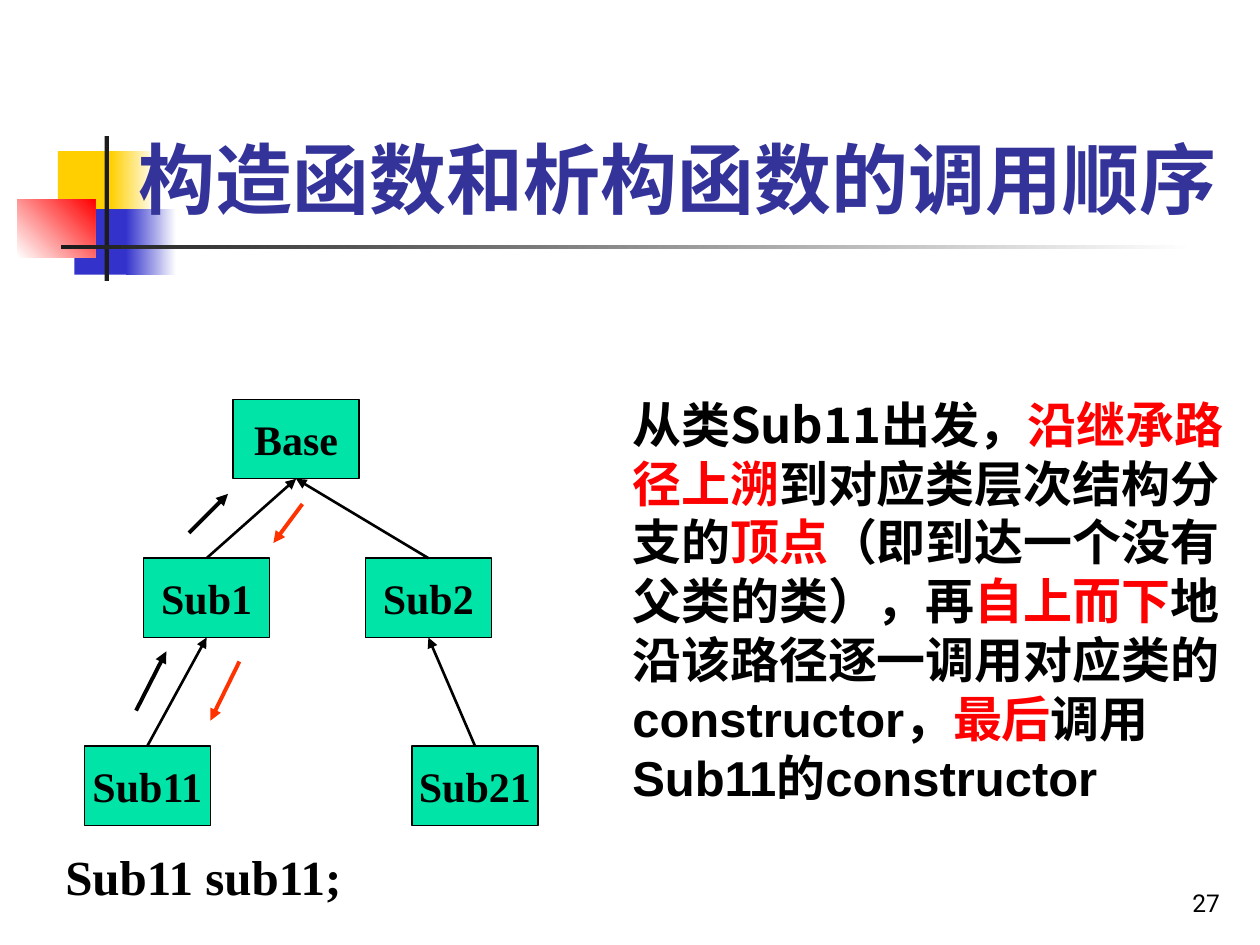
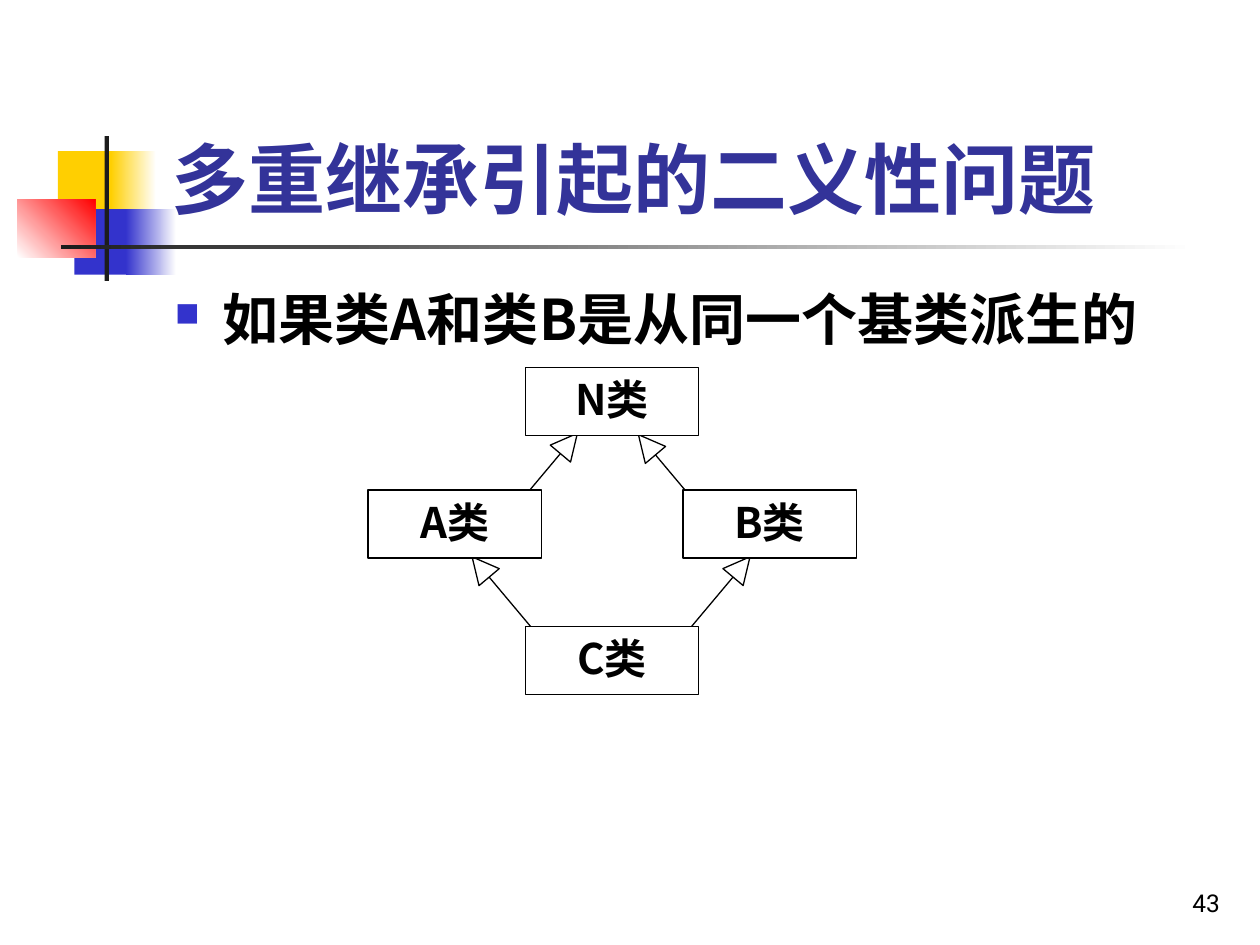
import math
from dataclasses import dataclass

import lxml.etree
import pptx
import pptx.dml.color
import pptx.enum.shapes
import pptx.enum.text
import pptx.oxml
import pptx.oxml.ns
import pptx.util

SHAPE = pptx.enum.shapes.MSO_SHAPE
ALIGN = pptx.enum.text.PP_ALIGN
ANCHOR = pptx.enum.text.MSO_ANCHOR


# Colours, fonts and type sizes
@dataclass(frozen=True)
class Theme:
    black: str = "000000"
    white: str = "FFFFFF"
    title: str = "333399"
    yellow: str = "FFCF01"
    blue: str = "3333CC"
    red: str = "FF0000"
    rule: str = "1C1C1C"
    node: str = "00E4A8"
    return_arrow: str = "FF3300"
    heading_font: str = "Roboto"
    chinese_font: str = "Noto Sans CJK SC"
    latin_font: str = "Arial"
    code_font: str = "Times New Roman"
    title_size: int = 44
    body_size: int = 32
    text_size: int = 28
    node_size: int = 24
    number_size: int = 14
    outline: float = 0.74
    edge: float = 1.5
    call: float = 2.24


THEME = Theme()

# The slide is a grid of 100 columns by 75 rows, each cell a square
COLUMNS, ROWS = 100, 75
CELL = pptx.util.Inches(0.1)


@dataclass(frozen=True)
class Box:
    left: float
    top: float
    width: float
    height: float

    def area(self, left, top, width, height):
        return Box(self.left + left, self.top + top, width, height)

    def point(self, column, row):
        return self.left + column, self.top + row

    def top_centre(self):
        return self.left + self.width / 2, self.top

    def bottom_centre(self):
        return self.left + self.width / 2, self.top + self.height

    def emu(self):
        return [round(value * CELL) for value in (self.left, self.top, self.width, self.height)]


def rgb(colour):
    return pptx.dml.color.RGBColor.from_string(colour)


def format_run(run, size, font, colour, bold=True):
    run.font.size = pptx.util.Pt(size)
    run.font.bold = bold
    run.font.name = font
    run.font.color.rgb = rgb(colour)
    east_asian = lxml.etree.SubElement(run.font._element, pptx.oxml.ns.qn("a:ea"))
    east_asian.set("typeface", THEME.chinese_font)


def add_text(slide, box, pieces, size, anchor=ANCHOR.TOP, align=ALIGN.LEFT, bold=True, wrap=True):
    """Pieces are (text, font, colour); returns the paragraph."""
    text_frame = slide.shapes.add_textbox(*box.emu()).text_frame
    text_frame.word_wrap = wrap
    text_frame.vertical_anchor = anchor
    paragraph = text_frame.paragraphs[0]
    paragraph.alignment = align
    for text, font, colour in pieces:
        run = paragraph.add_run()
        run.text = text
        format_run(run, size, font, colour, bold)
    return paragraph


def add_block(slide, box, fill, fade_to=None, angle=0, preset=SHAPE.RECTANGLE, outlined=False):
    shape = slide.shapes.add_shape(preset, *box.emu())
    shape.shadow.inherit = False
    if fade_to:
        shape.fill.gradient()
        shape.fill.gradient_angle = angle
        for stop, colour in zip(shape.fill.gradient_stops, (fill, fade_to)):
            stop.color.rgb = rgb(colour)
    else:
        shape.fill.solid()
        shape.fill.fore_color.rgb = rgb(fill)
    if outlined:
        shape.line.color.rgb = rgb(THEME.black)
        shape.line.width = pptx.util.Pt(THEME.outline)
    else:
        shape.line.fill.background()
    return shape


def add_node(slide, box, label, fill, font, anchor, wrap):
    shape = add_block(slide, box, fill, outlined=True)
    text_frame = shape.text_frame
    text_frame.text = label
    text_frame.word_wrap = wrap
    text_frame.vertical_anchor = anchor
    paragraph = text_frame.paragraphs[0]
    paragraph.alignment = ALIGN.CENTER
    format_run(paragraph.runs[0], THEME.node_size, font, THEME.black)


def add_line(slide, start, end, colour, width, arrow=True):
    ends = [round(value * CELL) for value in (*start, *end)]
    connector = slide.shapes.add_connector(pptx.enum.shapes.MSO_CONNECTOR.STRAIGHT, *ends)
    connector.line.color.rgb = rgb(colour)
    connector.line.width = pptx.util.Pt(width)
    if arrow:
        head = lxml.etree.SubElement(connector.line._get_or_add_ln(), pptx.oxml.ns.qn("a:tailEnd"))
        head.set("type", "triangle")
    lxml.etree.SubElement(connector._element.spPr, pptx.oxml.ns.qn("a:effectLst"))


# Coloured blocks and crossing rules beside the title
def add_ornament(slide, box):
    add_block(slide, box.area(3.2, 1.2, 4.8, 5.2), THEME.yellow)
    add_block(slide, box.area(7.4, 1.2, 3.6, 5.2), THEME.yellow, THEME.white)
    add_block(slide, box.area(4.5, 5.8, 4.6, 5.2), THEME.blue)
    add_block(slide, box.area(8.6, 5.8, 4, 5.2), THEME.blue, THEME.white)
    add_block(slide, box.area(0, 5, 6.15, 4.65), THEME.white, THEME.red, angle=45)
    add_block(slide, box.area(6.9, 0, 0.35, 11.5), THEME.rule)
    add_block(slide, box.area(3.45, 8.65, 90, 0.35), THEME.rule, THEME.white)


# What every slide shares: ornament, page number and title
def start_slide(presentation, title, title_box, number):
    slide = presentation.slides.add_slide(presentation.slide_layouts[6])
    add_ornament(slide, Box(1.4, 10.8, 93.4, 11.5))
    add_text(slide, Box(77, 68.3, 20.8, 5), [(number, THEME.heading_font, THEME.black)],
             THEME.number_size, ANCHOR.BOTTOM, ALIGN.RIGHT, bold=False)
    add_text(slide, title_box, [(title, THEME.heading_font, THEME.title)],
             THEME.title_size, ANCHOR.BOTTOM)
    return slide


# Inheritance tree with the calling order drawn beside it
def add_class_tree(slide, box):
    calls = [
        ((4.1, 24.7), (6.5, 20), THEME.black),
        ((8.3, 10.6), (11.4, 7.5), THEME.black),
        ((17.3, 8.3), (15, 11.4), THEME.return_arrow),
        ((12.3, 20.8), (10, 25.5), THEME.return_arrow),
    ]
    for start, end, colour in calls:
        add_line(slide, box.point(*start), box.point(*end), colour, THEME.call)

    places = {"Base": (11.8, 0), "Sub1": (4.7, 12.6), "Sub2": (22.3, 12.6),
              "Sub11": (0, 27.5), "Sub21": (26, 27.5)}
    nodes = {name: box.area(*place, 10, 6.3) for name, place in places.items()}
    for name, node in nodes.items():
        add_node(slide, node, name, THEME.node, THEME.code_font, ANCHOR.MIDDLE, wrap=False)

    parents = {"Sub11": "Sub1", "Sub1": "Base", "Sub2": "Base", "Sub21": "Sub2"}
    for child, parent in parents.items():
        add_line(slide, nodes[child].top_centre(), nodes[parent].bottom_centre(),
                 THEME.black, THEME.edge)


# Explanation with highlighted and Latin words
def add_explanation(slide, box):
    chinese, latin = THEME.chinese_font, THEME.latin_font
    black, red = THEME.black, THEME.red
    add_text(slide, box, [
        ("从类Sub11出发，", chinese, black),
        ("沿继承路径上溯", chinese, red),
        ("到对应类层次结构分支的", chinese, black),
        ("顶点", chinese, red),
        ("（即到达一个没有父类的类），再", chinese, black),
        ("自上而下", chinese, red),
        ("地沿该路径逐一调用对应类的", chinese, black),
        ("constructor", latin, black),
        ("，", chinese, black),
        ("最后", chinese, red),
        ("调用", chinese, black),
        ("Sub11", latin, black),
        ("的", chinese, black),
        ("constructor", latin, black),
    ], THEME.text_size)


# Hollow inheritance arrow: a leaning triangle with a stem below it
def add_hollow_arrow(slide, centre, lean):
    side, stem = 2.1, 6.4
    column, row = centre
    head = add_block(slide, Box(column - side / 2, row - side / 2, side, side), THEME.white,
                     preset=SHAPE.ISOSCELES_TRIANGLE, outlined=True)
    head.rotation = lean
    across, down = -math.sin(math.radians(lean)), math.cos(math.radians(lean))
    start, end = [(column + across * reach, row + down * reach)
                  for reach in (side / 2, side / 2 + stem)]
    add_line(slide, start, end, THEME.black, THEME.outline, arrow=False)


# Diamond of four classes
def add_class_diamond(slide, box):
    arrows = [((15.95, 6.05), 40), ((22.15, 6.15), -40),
              ((8.95, 15.85), -40), ((29.65, 15.85), 40)]
    for centre, lean in arrows:
        add_hollow_arrow(slide, box.point(*centre), lean)
    places = {"N类": (12.5, 0), "A类": (0, 9.75), "B类": (25, 9.75), "C类": (12.5, 20.55)}
    for name, place in places.items():
        add_node(slide, box.area(*place, 13.75, 5.4), name, THEME.white,
                 THEME.chinese_font, ANCHOR.TOP, wrap=True)


# Body line with a square bullet
def add_bullet(slide, box, text):
    paragraph = add_text(slide, box, [(text, THEME.chinese_font, THEME.black)], THEME.body_size)
    paragraph.space_before = pptx.util.Pt(8)
    properties = paragraph._element.get_or_add_pPr()
    indent = pptx.util.Inches(0.38)
    properties.set("marL", str(indent))
    properties.set("indent", str(-indent))
    colour = lxml.etree.SubElement(properties, pptx.oxml.ns.qn("a:buClr"))
    lxml.etree.SubElement(colour, pptx.oxml.ns.qn("a:srgbClr")).set("val", THEME.blue)
    size = lxml.etree.SubElement(properties, pptx.oxml.ns.qn("a:buSzPct"))
    size.set("val", "60000")
    bullet = lxml.etree.SubElement(properties, pptx.oxml.ns.qn("a:buChar"))
    bullet.set("char", "■")


def build_call_order(presentation):
    slide = start_slide(presentation, "构造函数和析构函数的调用顺序", Box(10, 2.3, 90, 16), "27")
    add_text(slide, Box(4.2, 66.7, 28.3, 5.7),
             [("Sub11 sub11; ", THEME.code_font, THEME.black)], THEME.text_size, wrap=False)
    add_explanation(slide, Box(49.2, 30.8, 50.8, 33.7))
    add_class_tree(slide, Box(6.7, 31.7, 36, 33.8))


def build_ambiguity(presentation):
    slide = start_slide(presentation, "多重继承引起的二义性问题", Box(12.6, 2.3, 85.2, 16), "43")
    add_bullet(slide, Box(12.9, 22.1, 85, 50.4), "如果类A和类B是从同一个基类派生的")
    add_class_diamond(slide, Box(29.2, 29.15, 38.75, 25.95))


presentation = pptx.Presentation()
presentation.slide_width = COLUMNS * CELL
presentation.slide_height = ROWS * CELL
build_call_order(presentation)
build_ambiguity(presentation)
presentation.save("out.pptx")
